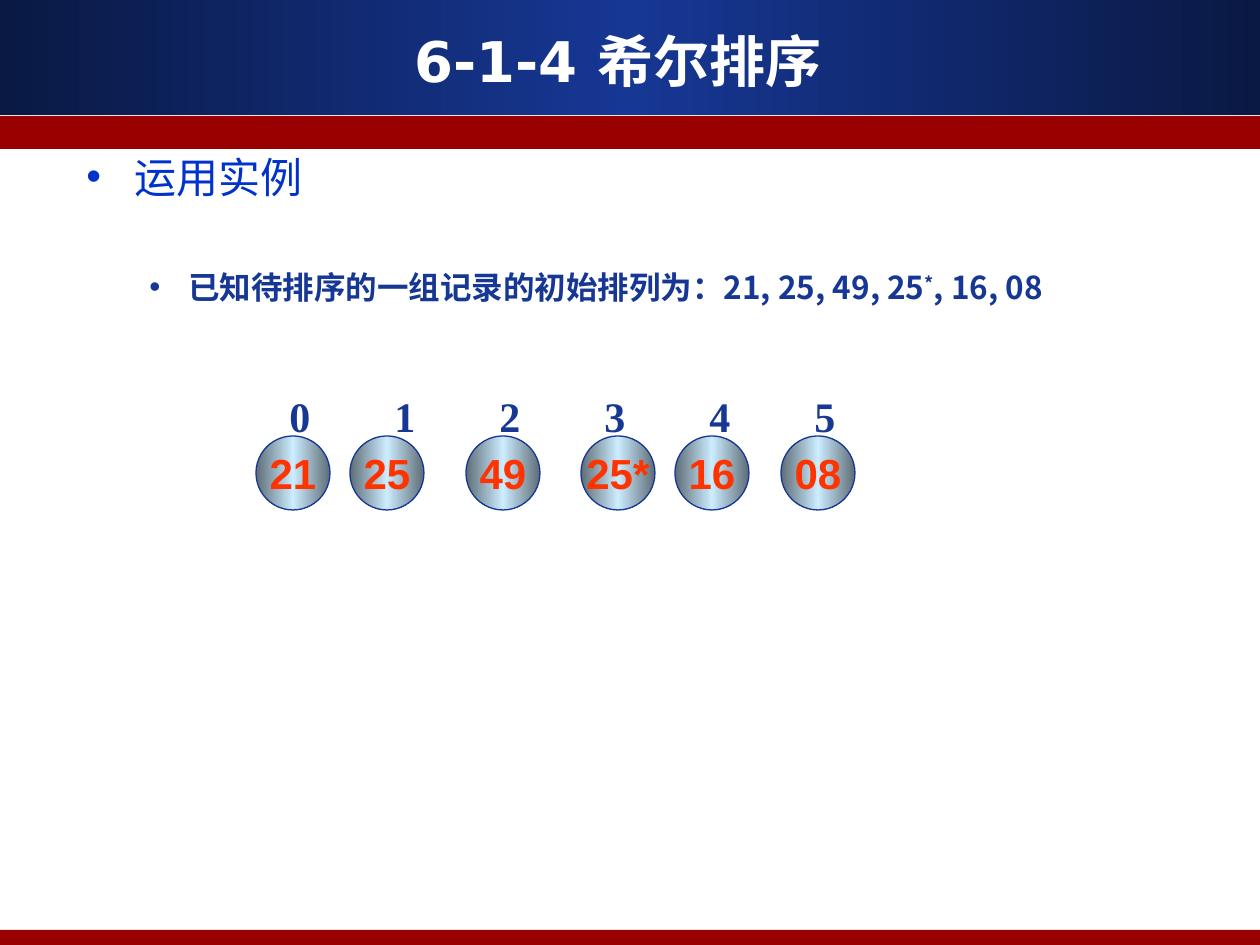
import copy

import pptx
import pptx.dml.color
import pptx.enum.shapes
import pptx.enum.text
import pptx.oxml.ns
import pptx.util
from lxml import etree

PX = 914400 // 126
NAVY, RED, BLUE = "163794", "990000", "0033CC"
DARK, STEEL, ICE = "0A1944", "5E6D76", "CCECFF"
CJK = "Noto Sans CJK SC"
qn = pptx.oxml.ns.qn
kinds = pptx.enum.shapes.MSO_SHAPE
CENTER = pptx.enum.text.PP_ALIGN.CENTER
MIDDLE = pptx.enum.text.MSO_ANCHOR.MIDDLE


def rgb(code):
    return pptx.dml.color.RGBColor.from_string(code)


def style(run, size, face, hue, bold=True):
    font = run.font
    font.size, font.name, font.bold = pptx.util.Pt(size), face, bold
    font.color.rgb = rgb(hue)
    east = etree.SubElement(font._element, qn("a:ea"))
    east.set("typeface", CJK)


deck = pptx.Presentation()
deck.slide_width, deck.slide_height = 1260 * PX, 945 * PX
slide = deck.slides.add_slide(deck.slide_layouts[6])
shapes = slide.shapes

# Bands and number balls: kind, box, fill colours, text
parts = [
    (kinds.RECTANGLE, (0, 0, 1260, 115), [DARK, NAVY, DARK], ""),
    (kinds.RECTANGLE, (0, 116, 1260, 33), [RED], ""),
    (kinds.RECTANGLE, (0, 930, 1260, 15), [RED], ""),
]
lefts = [256, 350, 466, 581, 675, 781]
for left, num in zip(lefts, ["21", "25", "49", "25*", "16", "08"]):
    parts.append((kinds.OVAL, (left, 436, 74, 74), [STEEL, ICE, STEEL], num))

for kind, box, hues, num in parts:
    part = shapes.add_shape(kind, *[n * PX for n in box])
    part.shadow.inherit = False
    if len(hues) == 1:
        part.fill.solid()
        part.fill.fore_color.rgb = rgb(hues[0])
    else:
        part.fill.gradient()
        part.fill.gradient_angle = 0
        stops = part._element.spPr.find(".//" + qn("a:gsLst"))
        stops.append(copy.deepcopy(stops[0]))
        for i, stop in enumerate(part.fill.gradient_stops):
            stop.position = i / 2
            stop.color.rgb = rgb(hues[i])
    if not num:
        part.line.fill.background()
        continue
    part.line.color.rgb = rgb(NAVY)
    part.line.width = pptx.util.Pt(0.75)
    frame = part.text_frame
    frame.word_wrap = False
    frame.vertical_anchor = MIDDLE
    frame.text = num
    frame.paragraphs[0].alignment = CENTER
    style(frame.paragraphs[0].runs[0], 24, "Arial", "FF3300")

# Title
frame = shapes.add_textbox(42 * PX, 21 * PX, 1165 * PX, 78 * PX).text_frame
frame.word_wrap = True
frame.vertical_anchor = MIDDLE
frame.text = "6-1-4 希尔排序 "
frame.paragraphs[0].alignment = CENTER
style(frame.paragraphs[0].runs[0], 32, "DejaVu Sans", "FFFFFF")

# Bulleted body
frame = shapes.add_textbox(74 * PX, 145 * PX, 1071 * PX, 684 * PX).text_frame
frame.word_wrap = True
head = frame.paragraphs[0]
head.text = "运用实例"
style(head.runs[0], 24, "Arial", BLUE, False)
item = frame.add_paragraph()
item.level = 1
for text in ["已知待排序的一组记录的初始排列为：21, 25, 49, 25", "*", ", 16, 08"]:
    run = item.add_run()
    run.text = text
    style(run, 18, CJK, NAVY)
item.runs[1].font._element.set("baseline", "30000")

for para, left, hang, gap, hue in [(head, 48, 48, 6, BLUE), (item, 102, 39, 38, NAVY)]:
    para.space_before = pptx.util.Pt(gap)
    props = para._element.get_or_add_pPr()
    props.set("marL", str(left * PX))
    props.set("indent", str(-hang * PX))
    tint = etree.SubElement(props, qn("a:buClr"))
    etree.SubElement(tint, qn("a:srgbClr")).set("val", hue)
    etree.SubElement(props, qn("a:buFont")).set("typeface", "Arial")
    etree.SubElement(props, qn("a:buChar")).set("char", "•")

# Index row on even tab stops
frame = shapes.add_textbox(277 * PX, 384 * PX, 614 * PX, 63 * PX).text_frame
frame.word_wrap = True
row = frame.paragraphs[0]
row.text = "\t".join("012345")
style(row.runs[0], 24, "Times New Roman", NAVY)
tabs = etree.SubElement(row._element.get_or_add_pPr(), qn("a:tabLst"))
for i in range(1, 6):
    tab = etree.SubElement(tabs, qn("a:tab"))
    tab.set("pos", str(i * 105 * PX))
    tab.set("algn", "l")

deck.save("out.pptx")
